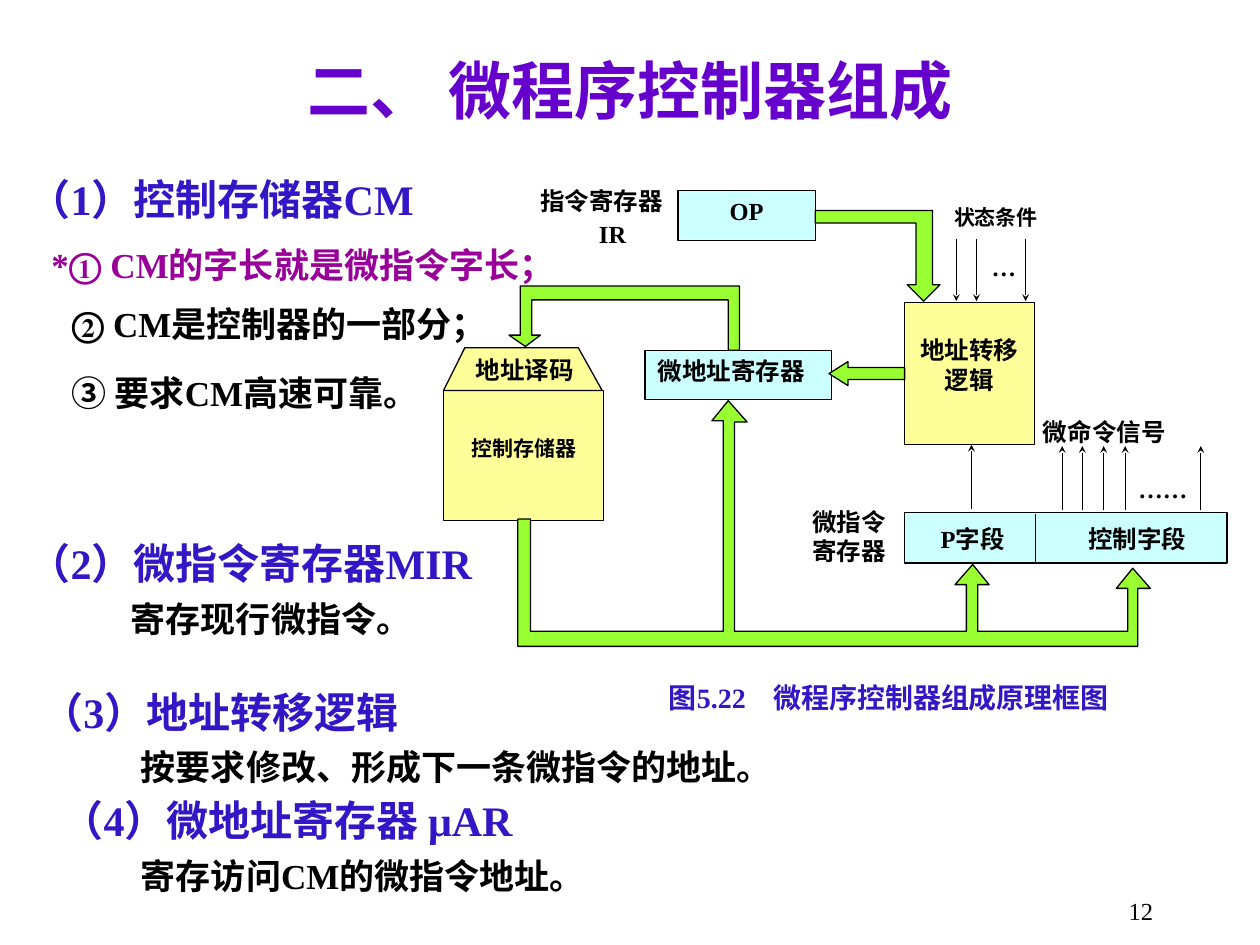
from typing import NamedTuple

from lxml.etree import SubElement
from pptx import Presentation
from pptx.dml.color import RGBColor
from pptx.enum.shapes import MSO_CONNECTOR, MSO_SHAPE
from pptx.enum.text import MSO_ANCHOR, PP_ALIGN
from pptx.oxml.ns import qn
from pptx.util import Inches, Pt

BLACK = RGBColor(0x00, 0x00, 0x00)
BLUE = RGBColor(0x33, 0x16, 0xC6)
PLUM = RGBColor(0x99, 0x00, 0x99)
VIOLET = RGBColor(0x66, 0x00, 0xCC)
CYAN = RGBColor(0xCC, 0xFF, 0xFF)
YELLOW = RGBColor(0xFF, 0xFF, 0x99)
GREEN = RGBColor(0x99, 0xFF, 0x33)
LEFT, MID, RIGHT = PP_ALIGN.LEFT, PP_ALIGN.CENTER, PP_ALIGN.RIGHT
FACE = "Times New Roman"


class Area(NamedTuple):
    left: float
    top: float
    width: float
    height: float


class Label(NamedTuple):
    text: str
    area: Area
    size: int = 14
    align: PP_ALIGN = MID
    color: RGBColor = BLACK
    pad: float = 0
    bold: bool = True


class Block(NamedTuple):
    area: Area
    fill: RGBColor
    text: str = ""
    align: PP_ALIGN = MID
    top: float = 0.05


class Wire(NamedTuple):
    x: float
    start: float
    end: float
    head: bool = True


def point(text: str, left: float, top: float, width: float,
          color: RGBColor = BLACK) -> Label:
    return Label(text, Area(left, top, width, 0.5), 20, LEFT, color, 0.1)


def heading(text: str, left: float, top: float) -> Label:
    return Label(text, Area(left, top, 6, 0.55), 24, LEFT, BLUE, 0.1)


BLOCKS = [
    Block(Area(7.18, 4.07, 2.56, 0.4), CYAN),
    Block(Area(7.18, 2.4, 1.03, 1.13), YELLOW, "地址转移\n逻辑", top=0.26),
    Block(Area(5.38, 1.51, 1.09, 0.4), CYAN, "OP"),
    Block(Area(5.12, 2.78, 1.48, 0.39), CYAN, "微地址寄存器", LEFT),
    Block(Area(3.52, 3.1, 1.27, 1.03), YELLOW),
]
DECODER = [(3.69, 2.76), (4.59, 2.76), (4.78, 3.1), (3.52, 3.1)]
BENDS = [
    # instruction register to the address logic
    [(7.33, 2.39), (7.2, 2.26), (7.27, 2.26), (7.27, 1.77), (6.47, 1.77),
     (6.47, 1.67), (7.4, 1.67), (7.4, 2.26), (7.46, 2.26)],
    # address register to the decoder
    [(5.78, 2.78), (5.78, 2.38), (4.22, 2.38), (4.22, 2.66), (4.29, 2.66),
     (4.17, 2.75), (4.04, 2.66), (4.13, 2.66), (4.13, 2.27), (5.87, 2.27),
     (5.87, 2.78)],
    # control store to the three registers
    [(4.21, 4.12), (4.21, 5.01), (5.74, 5.01), (5.74, 3.34), (5.65, 3.34),
     (5.78, 3.18), (5.93, 3.35), (5.83, 3.35), (5.83, 5.01), (7.67, 5.01),
     (7.67, 4.64), (7.58, 4.64), (7.72, 4.48), (7.85, 4.64), (7.76, 4.64),
     (7.76, 5.01), (8.95, 5.01), (8.95, 4.67), (8.86, 4.67), (8.99, 4.51),
     (9.13, 4.67), (9.03, 4.67), (9.03, 5.13), (4.11, 5.13), (4.11, 4.12)],
]
WIRES = [
    Wire(8.22, 4.08, 4.47, head=False),
    Wire(7.71, 4.04, 3.53),
    *[Wire(x, 4.05, 3.54) for x in (8.43, 8.59, 8.76, 8.93, 9.53)],
    *[Wire(x, 1.9, 2.39) for x in (7.59, 7.75, 8.14)],
]
LABELS = [
    Label("地址译码", Area(3.72, 2.82, 0.89, 0.27)),
    Label("控制存储器", Area(3.74, 3.46, 0.9, 0.32), 12, LEFT),
    Label("P字段", Area(7.29, 4.16, 0.86, 0.28)),
    Label("控制字段", Area(8.48, 4.16, 1.09, 0.28)),
    Label("……", Area(8.91, 3.76, 0.64, 0.28)),
    Label("微命令信号", Area(8.22, 3.31, 1.09, 0.27)),
    Label("指令寄存器", Area(4.23, 1.48, 1.09, 0.28)),
    Label("IR", Area(4.58, 1.74, 0.39, 0.3), align=RIGHT),
    Label("…", Area(7.87, 2, 0.23, 0.28), align=LEFT),
    Label("状态条件", Area(7.5, 1.62, 0.81, 0.25), 12),
    Label("微指令\n寄存器", Area(6.38, 4.02, 0.65, 0.55), align=RIGHT),
    Label("图5.22　微程序控制器组成原理框图", Area(5.09, 5.4, 3.93, 0.41),
          16, color=BLUE),
    heading("（1）控制存储器CM", 0.13, 1.33),
    point("*① CM的字长就是微指令字长；", 0.31, 1.88, 4.35, PLUM),
    point("② CM是控制器的一部分；", 0.47, 2.35, 3.63),
    point("③ 要求CM高速可靠。", 0.47, 2.9, 3.55),
    heading("（2）微指令寄存器MIR", 0.13, 4.22),
    point("寄存现行微指令。", 0.94, 4.69, 5),
    heading("（3）地址转移逻辑", 0.23, 5.4),
    point("按要求修改、形成下一条微指令的地址。", 1.02, 5.87, 5.26),
    heading("（4）微地址寄存器 μAR", 0.39, 6.26),
    point("寄存访问CM的微指令地址。", 1.02, 6.73, 5.86),
    Label("二、 微程序控制器组成", Area(0.75, 0.36, 8.5, 0.8), 36,
          color=VIOLET, pad=0.1),
    Label("12", Area(7.17, 7.06, 2.08, 0.28), align=RIGHT, pad=0.1,
          bold=False),
]


def place(area: Area) -> list:
    return [Inches(side) for side in area]


def write(frame, label: Label, top: float) -> None:
    frame.word_wrap = True
    frame.vertical_anchor = MSO_ANCHOR.TOP
    frame.margin_left = frame.margin_right = Inches(label.pad)
    frame.margin_top, frame.margin_bottom = Inches(top), Inches(label.pad / 2)
    frame.text = label.text
    for para in frame.paragraphs:
        para.alignment = label.align
        for run in para.runs:
            run.font.name = FACE
            run.font.size = Pt(label.size)
            run.font.bold = label.bold
            run.font.color.rgb = label.color


def paint(shape, fill: RGBColor) -> None:
    shape.shadow.inherit = False
    shape.fill.solid()
    shape.fill.fore_color.rgb = fill
    shape.line.color.rgb = BLACK
    shape.line.width = Pt(0.75)


def draw_block(shapes, block: Block) -> None:
    shape = shapes.add_shape(MSO_SHAPE.RECTANGLE, *place(block.area))
    paint(shape, block.fill)
    if block.text:
        label = Label(block.text, block.area, align=block.align, pad=0.1)
        write(shape.text_frame, label, block.top)


def draw_form(shapes, dots: list, fill: RGBColor) -> None:
    first, *rest = [(Inches(x), Inches(y)) for x, y in dots]
    form = shapes.build_freeform(*first)
    form.add_line_segments(rest, close=True)
    paint(form.convert_to_shape(), fill)


def draw_wire(shapes, wire: Wire) -> None:
    line = shapes.add_connector(
        MSO_CONNECTOR.STRAIGHT, Inches(wire.x), Inches(wire.start),
        Inches(wire.x), Inches(wire.end))
    line.line.color.rgb = BLACK
    line.line.width = Pt(0.75)
    props = line._element.spPr
    if wire.head:
        SubElement(props.find(qn("a:ln")), qn("a:tailEnd"),
                   type="stealth", w="sm", len="sm")
    SubElement(props, qn("a:effectLst"))


def main() -> None:
    deck = Presentation()
    deck.slide_width, deck.slide_height = Inches(10), Inches(7.5)
    shapes = deck.slides.add_slide(deck.slide_layouts[6]).shapes
    for block in BLOCKS:
        draw_block(shapes, block)
    draw_form(shapes, DECODER, YELLOW)
    arrow = shapes.add_shape(MSO_SHAPE.LEFT_ARROW,
                             *place(Area(6.58, 2.87, 0.6, 0.19)))
    arrow.adjustments[1] = 0.79
    paint(arrow, GREEN)
    for wire in WIRES:
        draw_wire(shapes, wire)
    for bend in BENDS:
        draw_form(shapes, bend, GREEN)
    for label in LABELS:
        box = shapes.add_textbox(*place(label.area))
        write(box.text_frame, label, label.pad / 2)
    deck.save("out.pptx")


if __name__ == "__main__":
    main()
